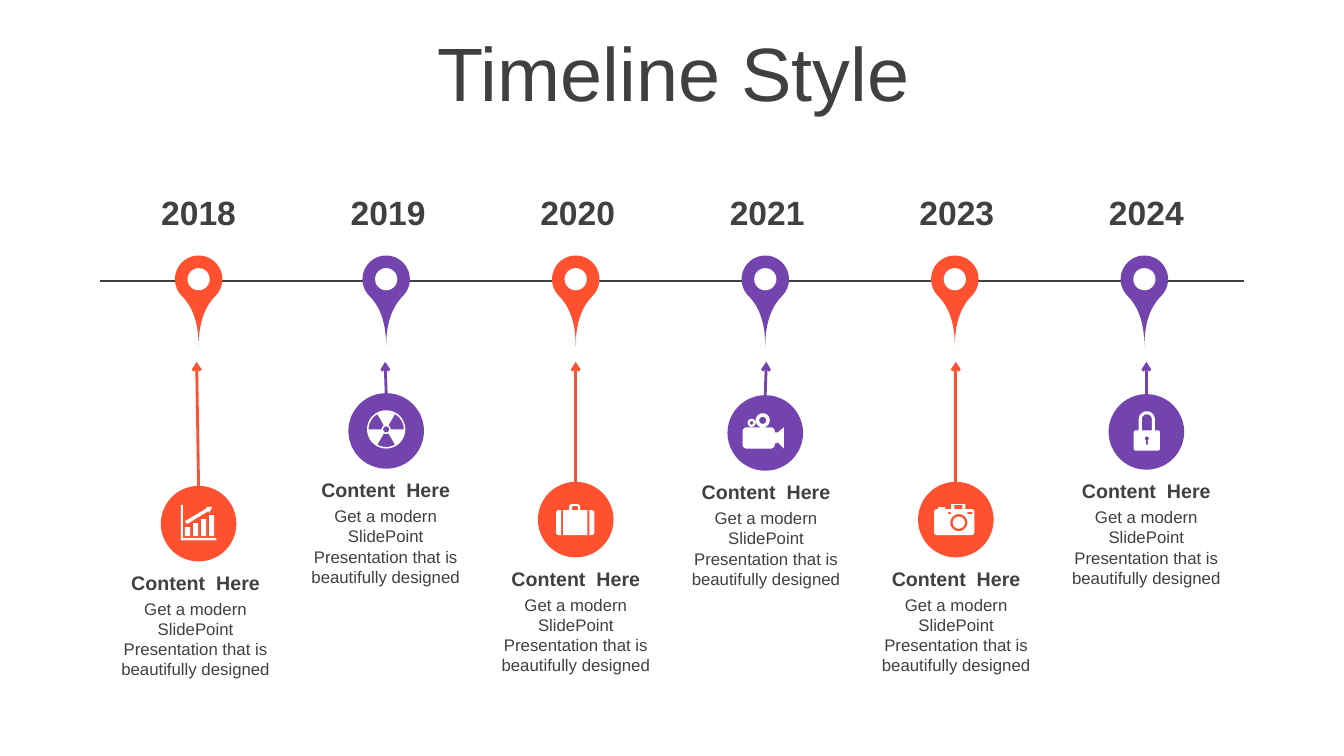
"""Build a six-stop timeline slide with map pins, arrows and icon discs."""
from dataclasses import dataclass
from math import cos, radians, sin

from lxml import etree
from pptx import Presentation
from pptx.dml.color import RGBColor
from pptx.enum.shapes import MSO_CONNECTOR, MSO_SHAPE
from pptx.enum.text import MSO_ANCHOR, MSO_AUTO_SIZE, PP_ALIGN
from pptx.oxml.ns import qn
from pptx.util import Inches, Pt

Contour = list[tuple[float, float]]

OVAL, TEARDROP = MSO_SHAPE.OVAL, MSO_SHAPE.TEAR
STRAIGHT = MSO_CONNECTOR.STRAIGHT
TOP, MIDDLE = MSO_ANCHOR.TOP, MSO_ANCHOR.MIDDLE
CENTER = PP_ALIGN.CENTER
GROW = MSO_AUTO_SIZE.SHAPE_TO_FIT_TEXT

ORANGE = RGBColor(0xFF, 0x50, 0x30)
PURPLE = RGBColor(0x73, 0x44, 0xAE)
DARK = RGBColor(0x40, 0x40, 0x40)
WHITE = RGBColor(0xFF, 0xFF, 0xFF)

FONT = "Arial"
AXIS_Y = 2.79
PIN_CENTER_Y = 2.77
PIN_SIZE = 0.47
HOLE_SIZE = 0.22
DISC_SIZE = 0.75
ARROW_TIP_Y = 3.59
YEAR_LEFT, YEAR_PITCH = 1.37, 1.88
LABEL_LEFT, LABEL_PITCH, LABEL_WIDTH = 1.09, 1.886, 1.7
HEADING = "Content  Here"
BODY = "Get a modern SlidePoint Presentation that is beautifully designed"


@dataclass(frozen=True)
class Stop:
    year: str
    color: RGBColor
    pin_x: float
    disc_x: float
    disc_top: float
    tip_x: float
    icon: list[Contour]


def arc(x: float, y: float, radius: float, start: int, end: int) -> Contour:
    """Return points along an arc, in degrees clockwise from the right."""
    steps = max(4, abs(end - start) // 10)
    angles = [radians(start + (end - start) * step / steps) for step in range(steps + 1)]
    return [(x + radius * cos(angle), y + radius * sin(angle)) for angle in angles]


def circle(x: float, y: float, radius: float) -> Contour:
    """Return a full circle."""
    return arc(x, y, radius, 0, 360)


def box(left: float, top: float, right: float, bottom: float, radius: float = 0) -> Contour:
    """Return a rectangle, with rounded corners if a radius is given."""
    if not radius:
        return [(left, top), (right, top), (right, bottom), (left, bottom)]
    near_x, far_x = left + radius, right - radius
    near_y, far_y = top + radius, bottom - radius
    return (arc(near_x, near_y, radius, 180, 270) + arc(far_x, near_y, radius, 270, 360)
            + arc(far_x, far_y, radius, 0, 90) + arc(near_x, far_y, radius, 90, 180))


def sector(x: float, y: float, inner: float, outer: float, start: int, end: int) -> Contour:
    """Return a ring segment between two radii."""
    return arc(x, y, outer, start, end) + arc(x, y, inner, end, start)


CHART = [box(-13.5 + 8 * bar, 3.5 - 4 * bar, -8.5 + 8 * bar, 12.5) for bar in range(4)] + [
    [(7.5, -16.5), (13.5, -16.5), (10.5, -10.5), (9.8, -12.5),
     (-11.5, 0.5), (-13.5, -2.5), (8.5, -15.5)],
    [(-17.5, -18.5), (-15.5, -18.5), (-15.5, 14.5), (17.5, 14.5), (17.5, 16.5), (-17.5, 16.5)],
]
RADIATION = [circle(0, -1.5, 19), circle(0, -1.5, 3)] + [
    sector(0, -1.5, 4.5, 17.5, start, start + 60) for start in (60, 180, 300)
]
SUITCASE = [
    box(-19.5, -9.5, 18.5, 15.5, 3),
    box(-14.5, -9.5, -12.5, 15.5), box(11.5, -9.5, 13.5, 15.5),
    [(-6.5, -9.5), (-6.5, -13.5), (-4.5, -15.5), (2.5, -15.5), (4.5, -13.5), (4.5, -9.5),
     (2.5, -9.5), (2.5, -12.5), (1.5, -13.5), (-2.5, -13.5), (-3.5, -12.5), (-3.5, -9.5)],
]
VIDEO = [
    box(-22.5, -5.5, 9.5, 15.5, 4),
    [(9.5, -0.5), (12.5, -0.5), (18.5, -5.5), (18.5, 15.5), (12.5, 9.5), (9.5, 10.5)],
    circle(-2.5, -12.5, 7), circle(-2.5, -12.5, 3.5),
    circle(-13.5, -10, 4), circle(-13.5, -10, 1.75),
]
CAMERA = [
    box(-21.5, -10.5, 18.5, 15.5, 3), circle(3, 3, 8.5), circle(3, 3, 6),
    box(-7.5, -7.5, -4.5, -5.5), box(11.5, -7.5, 16.5, -5.5),
    box(-4.5, -15.5, 9.5, -10.5), box(-1.5, -14.5, 6.5, -10.5),
    box(-17.5, -12.5, -10.5, -10.5),
]
LOCK = [
    box(-12.5, -1.5, 13.5, 18.5, 2), circle(0.5, 6.5, 2), box(-0.5, 8.5, 1.5, 12.5),
    [(-7.5, -1.5)] + sector(0.5, -12.5, 0, 8, 180, 360)[:19] + [(8.5, -1.5), (5.5, -1.5)]
    + arc(0.5, -12.5, 5, 360, 180) + [(-4.5, -1.5)],
]

STOPS = [
    Stop("2018", ORANGE, 1.97, 1.97, 4.82, 1.95, CHART),
    Stop("2019", PURPLE, 3.83, 3.83, 3.9, 3.82, RADIATION),
    Stop("2020", ORANGE, 5.71, 5.71, 4.78, 5.71, SUITCASE),
    Stop("2021", PURPLE, 7.59, 7.59, 3.92, 7.6, VIDEO),
    Stop("2023", ORANGE, 9.47, 9.48, 4.78, 9.48, CAMERA),
    Stop("2024", PURPLE, 11.35, 11.37, 3.91, 11.37, LOCK),
]


def paint(shape, color: RGBColor) -> None:
    """Fill a shape plainly, without line or shadow."""
    shape.shadow.inherit = False
    shape.fill.solid()
    shape.fill.fore_color.rgb = color
    shape.line.fill.background()


def add_centered(slide, kind, x: float, y: float, size: float, color: RGBColor):
    """Add a square preset shape around a centre point."""
    shape = slide.shapes.add_shape(
        kind, Inches(x - size / 2), Inches(y - size / 2), Inches(size), Inches(size))
    paint(shape, color)
    return shape


def add_text(slide, text: str, left: float, top: float, width: float, height: float,
             size: int, bold: bool = False, anchor=TOP):
    """Add a centred one-paragraph text box and return its frame."""
    frame = slide.shapes.add_textbox(
        Inches(left), Inches(top), Inches(width), Inches(height)).text_frame
    frame.word_wrap = True
    frame.vertical_anchor = anchor
    paragraph = frame.paragraphs[0]
    paragraph.text = text
    paragraph.alignment = CENTER
    font = paragraph.font
    font.name, font.size, font.bold = FONT, Pt(size), bold
    font.color.rgb = DARK
    return frame


def add_line(slide, start: tuple[float, float], end: tuple[float, float],
             color: RGBColor, width: float, arrow: bool = False) -> None:
    """Add a straight line, optionally with an arrowhead at its end."""
    connector = slide.shapes.add_connector(STRAIGHT, *map(Inches, start + end))
    connector.line.color.rgb = color
    connector.line.width = Pt(width)
    properties = connector._element.spPr
    if arrow:
        etree.SubElement(properties.find(qn("a:ln")), qn("a:tailEnd"), type="arrow")
    etree.SubElement(properties, qn("a:effectLst"))


def add_icon(slide, contours: list[Contour], x: float, y: float) -> None:
    """Draw contours, given in hundredths of an inch around a centre, as one shape."""
    builder = None
    for contour in contours:
        points = [(Inches(x + dx / 100), Inches(y + dy / 100)) for dx, dy in contour]
        if builder is None:
            builder = slide.shapes.build_freeform(*points[0])
        else:
            builder.move_to(*points[0])
        builder.add_line_segments(points[1:], close=True)
    paint(builder.convert_to_shape(), WHITE)


def add_stop(slide, index: int, stop: Stop) -> None:
    """Draw one year with its pin, disc, arrow, icon and label."""
    year = add_text(slide, stop.year, YEAR_LEFT + YEAR_PITCH * index, 1.9, 1.2, 0.4, 24, True)
    year.margin_left = year.margin_top = year.margin_right = year.margin_bottom = 0
    year.auto_size = GROW
    pin = add_centered(slide, TEARDROP, stop.pin_x, PIN_CENTER_Y, PIN_SIZE, stop.color)
    pin.adjustments[0] = 2
    pin.rotation = 135
    add_centered(slide, OVAL, stop.pin_x, PIN_CENTER_Y, HOLE_SIZE, WHITE)

    disc_y = stop.disc_top + DISC_SIZE / 2
    add_centered(slide, OVAL, stop.disc_x, disc_y, DISC_SIZE, stop.color)
    add_line(slide, (stop.disc_x, stop.disc_top), (stop.tip_x, ARROW_TIP_Y), stop.color, 2, True)
    add_icon(slide, stop.icon, stop.disc_x, disc_y)

    left = LABEL_LEFT + LABEL_PITCH * index
    top = stop.disc_top + 0.79
    add_text(slide, HEADING, left, top, LABEL_WIDTH, 0.34, 14, True, MIDDLE).auto_size = GROW
    add_text(slide, BODY, left, top + 0.28, LABEL_WIDTH, 0.91, 12).auto_size = GROW


def main() -> None:
    """Create and save the presentation."""
    presentation = Presentation()
    presentation.slide_width, presentation.slide_height = Inches(13.33), Inches(7.5)
    slide = presentation.slides.add_slide(presentation.slide_layouts[6])
    title = add_text(slide, "Timeline Style", 0.35, 0.37, 12.66, 0.79, 54, anchor=MIDDLE)
    title.paragraphs[0].line_spacing = 0.9
    add_line(slide, (12.34, AXIS_Y), (0.99, AXIS_Y), DARK, 1.75)
    for index, stop in enumerate(STOPS):
        add_stop(slide, index, stop)
    presentation.save("out.pptx")


if __name__ == "__main__":
    main()
